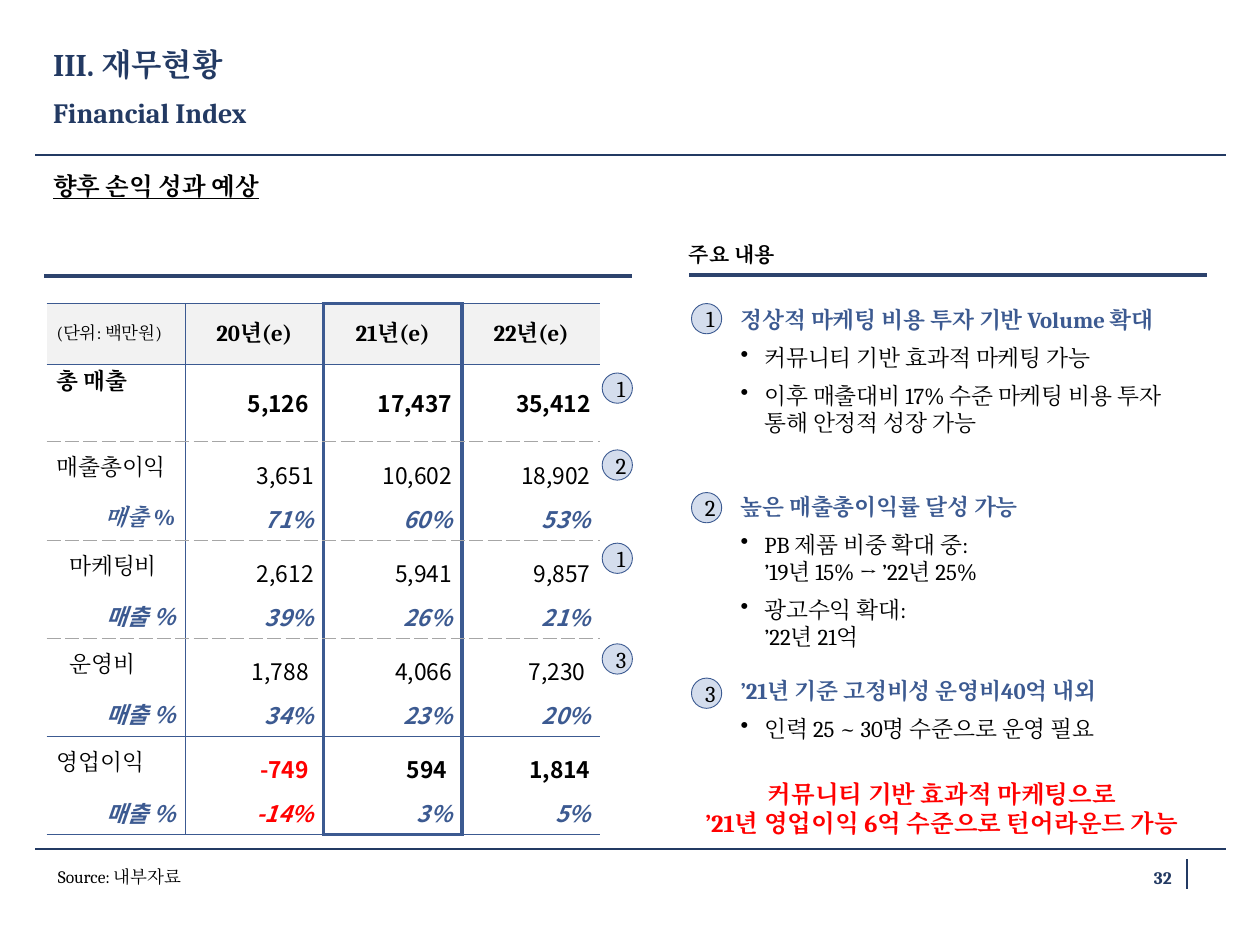
from dataclasses import dataclass

from lxml.etree import SubElement
from pptx import Presentation
from pptx.dml.color import RGBColor
from pptx.enum.shapes import MSO_CONNECTOR, MSO_SHAPE
from pptx.enum.text import MSO_ANCHOR, PP_ALIGN
from pptx.oxml.ns import qn
from pptx.util import Cm, Pt


@dataclass(frozen=True)
class Theme:
    """Colours, fonts and type sizes of the slide."""
    navy: str = "233A63"
    rule: str = "2D436D"
    blue: str = "3C5A91"
    pale: str = "D4DDED"
    grey: str = "A6A6A6"
    header: str = "F2F2F2"
    black: str = "000000"
    red: str = "FF0000"
    serif: str = "Cambria"
    sans: str = "Noto Sans CJK KR"
    title: int = 18
    subtitle: int = 16
    heading: int = 14
    section: int = 12
    body: int = 13
    small: int = 10


THEME = Theme()
THIN = (THEME.blue, 0.25, "solid")
THICK = (THEME.blue, 2.25, "solid")
DASHED = (THEME.grey, 0.25, "sysDash")
ROW_EDGES = {0: THIN, 1: THIN, 2: DASHED, 4: DASHED, 6: DASHED, 8: THIN, 10: THIN}
COLUMN_EDGES = {1: THIN, 2: THICK, 3: THICK}
FOCUS_COLUMN = 2

FORECAST = [
    ("(단위: 백만원)", "20년(e)", "21년(e)", "22년(e)"),
    ("총 매출", "5,126", "17,437", "35,412"),
    ("매출총이익", "3,651", "10,602", "18,902"),
    ("매출 %", "71%", "60%", "53%"),
    ("마케팅비", "2,612", "5,941", "9,857"),
    ("매출 %", "39%", "26%", "21%"),
    ("운영비", "1,788", "4,066", "7,230"),
    ("매출 %", "34%", "23%", "20%"),
    ("영업이익", "-749", "594", "1,814"),
    ("매출 %", "-14%", "3%", "5%"),
]
ROW_HEIGHTS = [1.23, 1.55] + [1.09, 0.89] * 4
BOLD_ROWS = (1, 8)
INDENTED_ROWS = (4, 6)
SHIFTED_FIGURES = ("5,126", "1,788", "7,230", "-749", "594")

ROW_BADGES = [("1", 7.52), ("2", 9.07), ("1", 10.95), ("3", 12.98)]
FINDINGS = [
    ("1", 6.12, 6.07, 3.48, "정상적 마케팅 비용 투자 기반 Volume 확대",
     ["커뮤니티 기반 효과적 마케팅 가능",
      "이후 매출대비 17% 수준 마케팅 비용 투자 통해 안정적 성장 가능"]),
    ("2", 9.93, 9.83, 3.12, "높은 매출총이익률 달성 가능",
     ["PB 제품 비중 확대 중:\n’19년 15% → ’22년 25%", "광고수익 확대:\n’22년 21억"]),
    ("3", 13.67, 13.54, 1.7, "’21년 기준 고정비성 운영비40억 내외",
     ["인력 25 ~ 30명 수준으로 운영 필요"]),
]


def style_runs(paragraph, size, color=THEME.black, bold=False, italic=False,
               underline=False, face=THEME.serif):
    """Format every run of a paragraph."""
    for run in paragraph.runs:
        font = run.font
        font.size, font.name = Pt(size), face
        font.bold, font.italic, font.underline = bold, italic, underline
        font.color.rgb = RGBColor.from_string(color)
        SubElement(font._element, qn("a:ea"), typeface=face)


def set_margins(target, horizontal=0, vertical=0):
    """Set the inner margins of a text frame or a cell."""
    target.margin_left = target.margin_right = Cm(horizontal)
    target.margin_top = target.margin_bottom = Cm(vertical)


def add_text(slide, box, text, size, align=PP_ALIGN.LEFT, anchor=MSO_ANCHOR.TOP,
             margins=(0, 0), **style):
    """Add a text box with one styled paragraph."""
    frame = slide.shapes.add_textbox(*map(Cm, box)).text_frame
    frame.word_wrap, frame.vertical_anchor = True, anchor
    set_margins(frame, *margins)
    paragraph = frame.paragraphs[0]
    paragraph.text, paragraph.alignment = text, align
    style_runs(paragraph, size, **style)
    return frame


def set_title(slide, text):
    """Place and format the title placeholder."""
    title = slide.shapes.title
    title.left, title.top, title.width, title.height = map(Cm, (1.07, 0.91, 18.08, 0.91))
    frame = title.text_frame
    frame.text, frame.vertical_anchor = text, MSO_ANCHOR.TOP
    set_margins(frame)
    frame.paragraphs[0].alignment = PP_ALIGN.LEFT
    style_runs(frame.paragraphs[0], THEME.title, THEME.navy, bold=True)


def add_rule(slide, start, end, color, width):
    """Draw a straight line without shadow."""
    rule = slide.shapes.add_connector(MSO_CONNECTOR.STRAIGHT, *map(Cm, start + end))
    rule.line.color.rgb = RGBColor.from_string(color)
    rule.line.width = Pt(width)
    SubElement(rule._element.spPr, qn("a:effectLst"))


def add_badge(slide, left, top, number):
    """Draw a numbered circle."""
    badge = slide.shapes.add_shape(MSO_SHAPE.OVAL, Cm(left), Cm(top), Cm(0.61), Cm(0.61))
    badge.shadow.inherit = False
    badge.fill.solid()
    badge.fill.fore_color.rgb = RGBColor.from_string(THEME.pale)
    badge.line.color.rgb = RGBColor.from_string(THEME.blue)
    badge.line.width = Pt(0.5)
    frame = badge.text_frame
    frame.text, frame.word_wrap = number, False
    frame.vertical_anchor = MSO_ANCHOR.MIDDLE
    set_margins(frame)
    frame.margin_left = Cm(0.15)
    frame.paragraphs[0].alignment = PP_ALIGN.CENTER
    style_runs(frame.paragraphs[0], THEME.body)


def set_borders(cell, row, column):
    """Draw the four cell edges from the row and column edge rules."""
    def level(edge):
        """Return the style of a horizontal edge in this column."""
        framed = column == FOCUS_COLUMN and edge in (0, len(FORECAST))
        return THICK if framed else ROW_EDGES.get(edge)

    edges = {"L": COLUMN_EDGES.get(column), "R": COLUMN_EDGES.get(column + 1),
             "T": level(row), "B": level(row + 1)}
    properties = cell._tc.get_or_add_tcPr()
    for position, (side, style) in enumerate(edges.items()):
        line = SubElement(properties, qn(f"a:ln{side}"))
        properties.insert(position, line)
        if style is None:
            SubElement(line, qn("a:noFill"))
            continue
        color, width, dash = style
        line.set("w", str(Pt(width)))
        SubElement(SubElement(line, qn("a:solidFill")), qn("a:srgbClr"), val=color)
        SubElement(line, qn("a:prstDash"), val=dash)


def fill_cell(cell, row, column, text):
    """Write and format one cell of the forecast."""
    header, label, ratio = row == 0, column == 0, "%" in text
    set_margins(cell, 0.2, 0.1)
    centred = label or row <= 1
    cell.vertical_anchor = MSO_ANCHOR.MIDDLE if centred else MSO_ANCHOR.BOTTOM
    if header:
        cell.fill.solid()
        cell.fill.fore_color.rgb = RGBColor.from_string(THEME.header)
    else:
        cell.fill.background()
    if label and row == 1:
        cell.vertical_anchor = MSO_ANCHOR.TOP
    if label and row in INDENTED_ROWS:
        cell.margin_left = Cm(0.46)
    if text in SHIFTED_FIGURES:
        cell.margin_right = Cm(0.3)
    paragraph = cell.text_frame.paragraphs[0]
    paragraph.text = text
    if label and not ratio:
        paragraph.alignment = PP_ALIGN.LEFT
    else:
        paragraph.alignment = PP_ALIGN.CENTER if header else PP_ALIGN.RIGHT
    color = THEME.red if text.startswith("-") else THEME.blue if ratio else THEME.black
    strong = row == 1 or (not label and (header or row in BOLD_ROWS))
    serif = header or (label and (not ratio or row == 3))
    style_runs(paragraph, THEME.small if header and label else THEME.body, color,
               bold=ratio or strong, italic=ratio,
               face=THEME.serif if serif else THEME.sans)
    set_borders(cell, row, column)


def add_forecast(slide):
    """Add the profit forecast table."""
    table = slide.shapes.add_table(len(FORECAST), 4, Cm(0.94), Cm(6.12), Cm(11.16),
                                   Cm(sum(ROW_HEIGHTS))).table
    table.first_row = table.horz_banding = False
    for column in table.columns:
        column.width = Cm(2.79)
    for row, (height, texts) in enumerate(zip(ROW_HEIGHTS, FORECAST)):
        table.rows[row].height = Cm(height)
        for column, text in enumerate(texts):
            fill_cell(table.cell(row, column), row, column, text)


def add_finding(slide, number, badge_top, top, height, headline, points):
    """Add a numbered headline with its bullet points."""
    add_badge(slide, 13.94, badge_top, number)
    frame = add_text(slide, (14.73, top, 9.6, height), headline, THEME.body,
                     margins=(0.2, 0.1), color=THEME.blue, bold=True)
    frame.paragraphs[0].space_after = Pt(6)
    for point in points:
        paragraph = frame.add_paragraph()
        paragraph.text, paragraph.space_after = point, Pt(6)
        properties = paragraph._p.get_or_add_pPr()
        properties.set("marL", str(Cm(0.48)))
        properties.set("indent", str(-Cm(0.48)))
        SubElement(properties, qn("a:buChar"), char="•")
        style_runs(paragraph, THEME.body)


def main():
    """Build and save the slide."""
    deck = Presentation()
    deck.slide_width, deck.slide_height = Cm(25.4), Cm(19.05)
    slide = deck.slides.add_slide(deck.slide_layouts[5])
    set_title(slide, "III. 재무현황")
    add_text(slide, (1.07, 1.93, 18.08, 1.09), "Financial Index", THEME.subtitle,
             color=THEME.navy, bold=True)
    add_text(slide, (1.07, 3.45, 23.24, 1.73), "향후 손익 성과 예상", THEME.heading,
             bold=True, underline=True)
    for height in (3.12, 17.12):
        add_rule(slide, (0.71, height), (24.71, height), THEME.navy, 1)
    add_rule(slide, (23.93, 17.32), (23.93, 17.93), THEME.navy, 1)
    add_rule(slide, (0.89, 5.56), (12.75, 5.56), THEME.rule, 2.25)
    add_rule(slide, (13.89, 5.54), (24.33, 5.54), THEME.rule, 2.25)
    add_text(slide, (13.89, 4.72, 9.7, 0.79), "주요 내용", THEME.section,
             anchor=MSO_ANCHOR.MIDDLE, bold=True)
    add_forecast(slide)
    for number, top in ROW_BADGES:
        add_badge(slide, 12.14, top, number)
    for finding in FINDINGS:
        add_finding(slide, *finding)
    add_text(slide, (13.49, 15.6, 11, 1.32),
             "커뮤니티 기반 효과적 마케팅으로\n’21년 영업이익 6억 수준으로 턴어라운드 가능",
             THEME.heading, PP_ALIGN.CENTER, margins=(0.2, 0.1),
             color=THEME.red, bold=True)
    add_text(slide, (1.17, 17.45, 16.89, 0.74), "Source: 내부자료", THEME.small)
    add_text(slide, (21.89, 17.32, 1.98, 0.74), "32", THEME.small, PP_ALIGN.RIGHT,
             MSO_ANCHOR.MIDDLE, (0.25, 0.13), color=THEME.navy, bold=True)
    deck.save("out.pptx")


if __name__ == "__main__":
    main()
